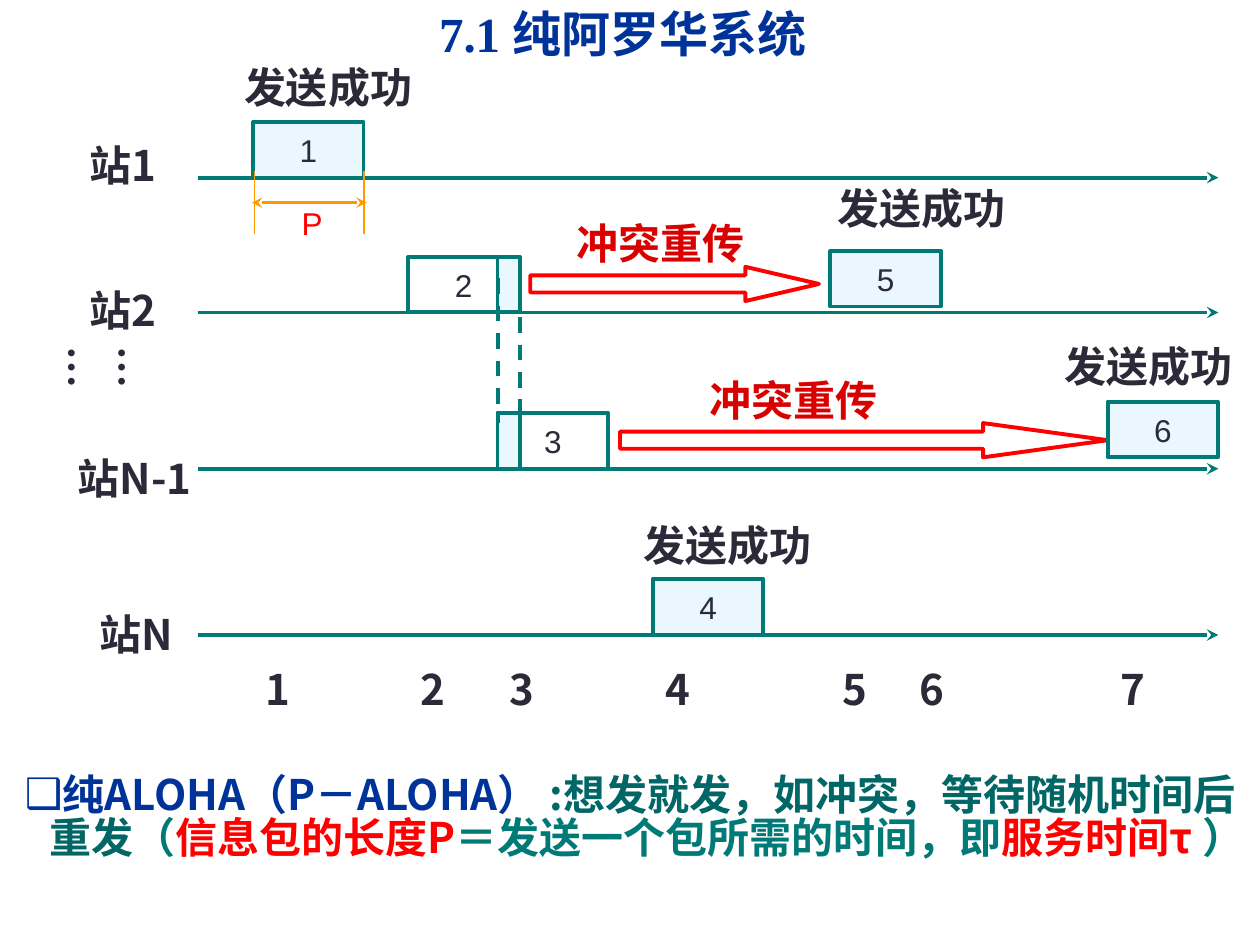
from dataclasses import dataclass

from lxml.etree import SubElement
from pptx import Presentation
from pptx.dml.color import RGBColor
from pptx.enum.dml import MSO_LINE
from pptx.enum.shapes import MSO_CONNECTOR, MSO_SHAPE
from pptx.enum.text import MSO_ANCHOR, MSO_AUTO_SIZE, PP_ALIGN
from pptx.oxml.ns import qn
from pptx.util import Cm, Pt


@dataclass(frozen=True)
class Theme:
    ink: str = "2A2A38"
    teal: str = "007A77"
    deep: str = "006666"
    navy: str = "003399"
    red: str = "FF0000"
    dark_red: str = "DA0000"
    amber: str = "FF9900"
    pale: str = "EBF7FF"
    sans: str = "Noto Sans CJK SC"
    serif: str = "Times New Roman"
    plain: str = "Arial"
    head: int = 28
    text: int = 24
    small: int = 18
    thick: float = 2.25


@dataclass(frozen=True)
class Box:
    x: float
    y: float
    w: float
    h: float

    def inner(self, x, y, w, h):
        return Box(self.x + x, self.y + y, w, h)

    def cm(self):
        return Cm(self.x), Cm(self.y), Cm(self.w), Cm(self.h)


THEME = Theme()
SLOTS = [1.11, 4.24, 6.04, 9.17, 12.75, 14.3, 18.34]
LANES = [2.48, 5.2, 8.35, 11.7]
PACK_W, PACK_H = 2.23, 1.12
CLASH_W = 0.45
ROW_H = 1.27


def rgb(code):
    return RGBColor.from_string(code)


def style(para, size, color, name, bold=False):
    font = para.font
    font.size, font.bold, font.name = Pt(size), bold, name
    font.color.rgb = rgb(color)
    if name == THEME.sans:
        props = para._p.pPr.find(qn("a:defRPr"))
        SubElement(props, qn("a:ea")).set("typeface", name)


def label(slide, box, text, color=THEME.ink, name=THEME.sans):
    frame = slide.shapes.add_textbox(*box.cm()).text_frame
    frame.word_wrap = True
    frame.text = text
    style(frame.paragraphs[0], THEME.text, color, name, True)
    return frame


def center(frame, text, color):
    frame.word_wrap = False
    frame.vertical_anchor = MSO_ANCHOR.MIDDLE
    frame.text = text
    para = frame.paragraphs[0]
    para.alignment = PP_ALIGN.CENTER
    style(para, THEME.small, color, THEME.plain)


def shape(slide, kind, box, color, fill=None):
    item = slide.shapes.add_shape(kind, *box.cm())
    item.shadow.inherit = False
    item.line.color.rgb = rgb(color)
    item.line.width = Pt(THEME.thick)
    if fill:
        item.fill.solid()
        item.fill.fore_color.rgb = rgb(fill)
    else:
        item.fill.background()
    return item


def line(slide, box, color, width=THEME.thick, dash=False, ends=()):
    x, y, w, h = box.cm()
    item = slide.shapes.add_connector(MSO_CONNECTOR.STRAIGHT, x, y, x + w, y + h)
    item.line.color.rgb = rgb(color)
    item.line.width = Pt(width)
    if dash:
        item.line.dash_style = MSO_LINE.DASH
    props = item._element.spPr
    for end in ends:
        SubElement(props.find(qn("a:ln")), qn(f"a:{end}")).set("type", "stealth")
    SubElement(props, qn("a:effectLst"))


def place(holder, box):
    holder.left, holder.top, holder.width, holder.height = box.cm()
    frame = holder.text_frame
    frame.auto_size = MSO_AUTO_SIZE.NONE
    frame.word_wrap = True
    return frame


def title(slide, box):
    frame = place(slide.shapes.title, box)
    frame.vertical_anchor = MSO_ANCHOR.MIDDLE
    frame.text = "7.1 纯阿罗华系统"
    para = frame.paragraphs[0]
    para.alignment = PP_ALIGN.CENTER
    style(para, THEME.head, THEME.navy, THEME.serif, True)


def names(slide, box):
    for text, x, y, w in [("站1", 0.23, 1.59, 2.24), ("站2", 0.23, 4.51, 2.24),
                          ("站N-1", 0, 7.89, 2.9), ("站N", 0.43, 11.04, 2.24)]:
        label(slide, box.inner(x, y, w, ROW_H), text)
    dots = label(slide, box.inner(0.53, 5.63, 1.52, 2.03), "……", name=THEME.serif)
    dots._txBody.bodyPr.set("vert", "eaVert")


def lanes(slide, box):
    for y in LANES:
        line(slide, box.inner(0, y, box.w, 0), THEME.teal, ends=["tailEnd"])


def resends(slide, box):
    for x, y, w, tip in [(6.7, 4.28, 5.82, 2.15), (8.51, 7.43, 9.83, 3.64)]:
        arrow = shape(slide, MSO_SHAPE.RIGHT_ARROW, box.inner(x, y, w, 0.69), THEME.red)
        arrow.adjustments[1] = tip


def packets(slide, box):
    for num, slot, lane, lift, fill in [
            (1, 0, 0, 0, THEME.pale), (2, 1, 1, 0, None), (3, 2, 2, 0, None),
            (4, 3, 3, 0, THEME.pale), (5, 4, 1, 0.12, THEME.pale),
            (6, 6, 2, 0.23, THEME.pale)]:
        spot = box.inner(SLOTS[slot], LANES[lane] - PACK_H - lift, PACK_W, PACK_H)
        item = shape(slide, MSO_SHAPE.RECTANGLE, spot, THEME.teal, fill)
        center(item.text_frame, str(num), THEME.ink)


def clashes(slide, box):
    left = SLOTS[2]
    for y in LANES[1:3]:
        spot = box.inner(left, y - PACK_H, CLASH_W, PACK_H)
        shape(slide, MSO_SHAPE.RECTANGLE, spot, THEME.teal, THEME.pale)
    for x, y in [(left, 4.51), (left + CLASH_W, 4.74)]:
        line(slide, box.inner(x, y, 0, 2.92), THEME.teal, dash=True)


def captions(slide, box):
    for x, y, w in [(0.68, 0.02, 4.65), (12.65, 2.46, 4.19),
                    (17.22, 5.63, 4.19), (8.74, 9.24, 5.92)]:
        label(slide, box.inner(x, y, w, ROW_H), "发送成功")
    for x, y, w in [(7.39, 3.17, 7.04), (10.06, 6.32, 4.78)]:
        label(slide, box.inner(x, y, w, ROW_H), "冲突重传", THEME.dark_red)


def length(slide, box):
    for x in (0, box.w):
        line(slide, box.inner(x, 0, 0, box.h), THEME.amber, 1)
    line(slide, box.inner(-0.05, box.h / 2, box.w + 0.1, 0), THEME.amber, 1.5,
         ends=["headEnd", "tailEnd"])
    mark = slide.shapes.add_textbox(*box.inner(0.05, 0.49, PACK_W, PACK_H).cm())
    center(mark.text_frame, "P", THEME.red)


def ticks(slide, box):
    for num, x in enumerate(SLOTS, 1):
        label(slide, box.inner(x, 0, 0.89, box.h), str(num))


def note(slide, box):
    frame = place(slide.placeholders[1], box)
    frame.vertical_anchor = MSO_ANCHOR.TOP
    para = frame.paragraphs[0]
    para.alignment = PP_ALIGN.CENTER
    para.line_spacing = 0.85
    para.space_before = Pt(0)
    props = para._p.get_or_add_pPr()
    props.set("marL", str(Cm(0.69)))
    props.set("indent", str(-Cm(0.69)))
    SubElement(props, qn("a:buChar")).set("char", "❑")
    style(para, THEME.text, THEME.teal, THEME.sans, True)
    for text, color in [("纯ALOHA（P－ALOHA） ", THEME.navy),
                        (":想发就发，如冲突，等待随机时间后重发", THEME.deep),
                        ("（", THEME.teal), ("信息包的长度P", THEME.red),
                        ("＝发送一个包所需的时间，即", THEME.teal),
                        ("服务时间τ ", THEME.red), ("）", THEME.teal)]:
        run = para.add_run()
        run.text = text
        run.font.color.rgb = rgb(color)


def main():
    deck = Presentation()
    deck.slide_width, deck.slide_height = Cm(25.4), Cm(19.05)
    slide = deck.slides.add_slide(deck.slide_layouts[1])
    chart = Box(3.99, 1.1, 20.57, 12.1)
    title(slide, Box(0.69, -0.33, 23.72, 2))
    names(slide, Box(1.32, 1.1, 2.9, 12.1))
    for draw in (lanes, resends, packets, clashes, captions):
        draw(slide, chart)
    length(slide, Box(5.13, 3.45, 2.21, ROW_H))
    ticks(slide, Box(3.99, 13.26, 20.57, ROW_H))
    note(slide, Box(0, 15.52, 25.4, 2.54))
    deck.save("out.pptx")


if __name__ == "__main__":
    main()
